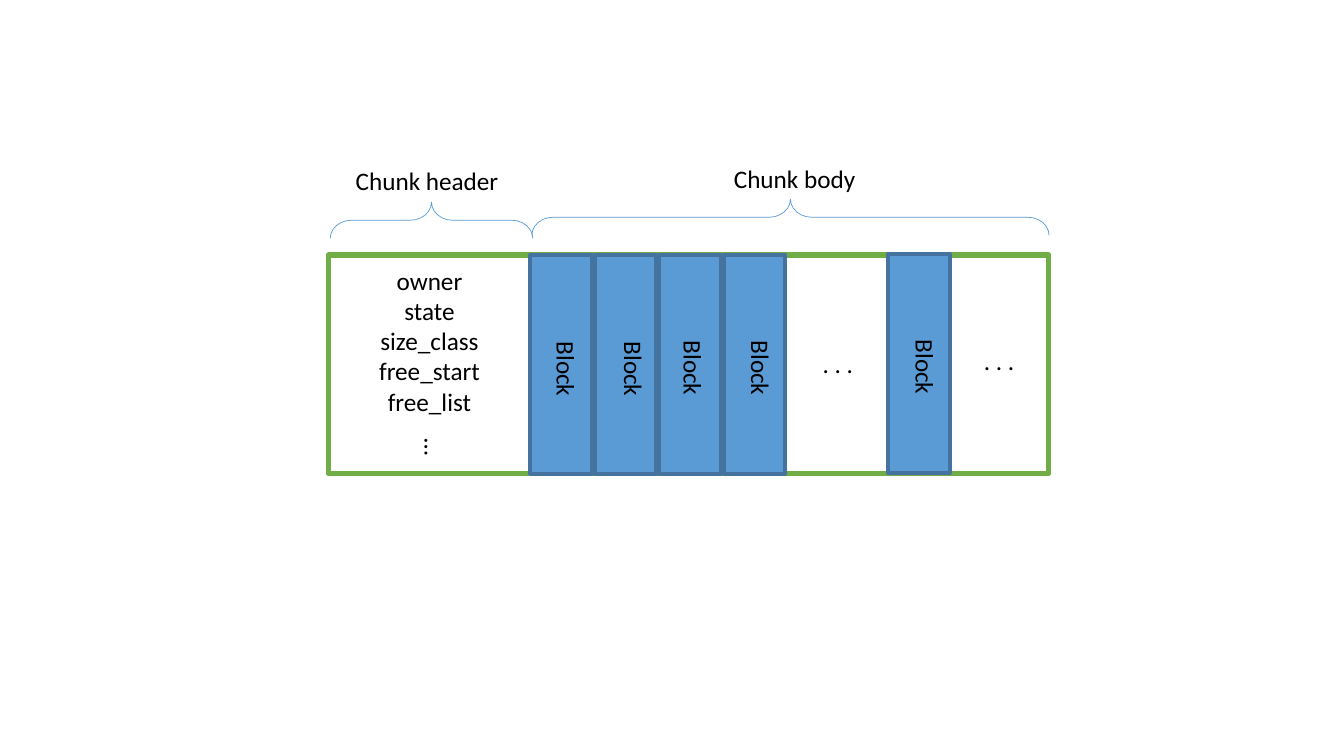
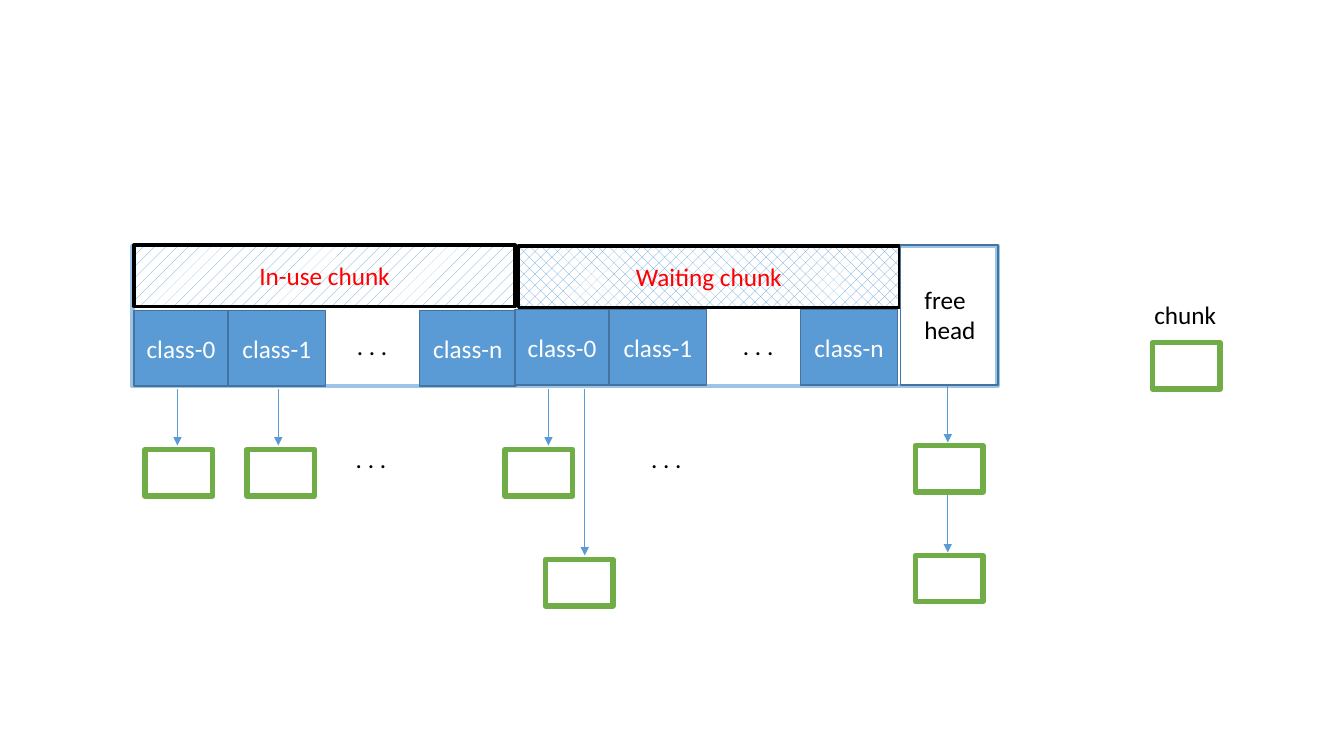
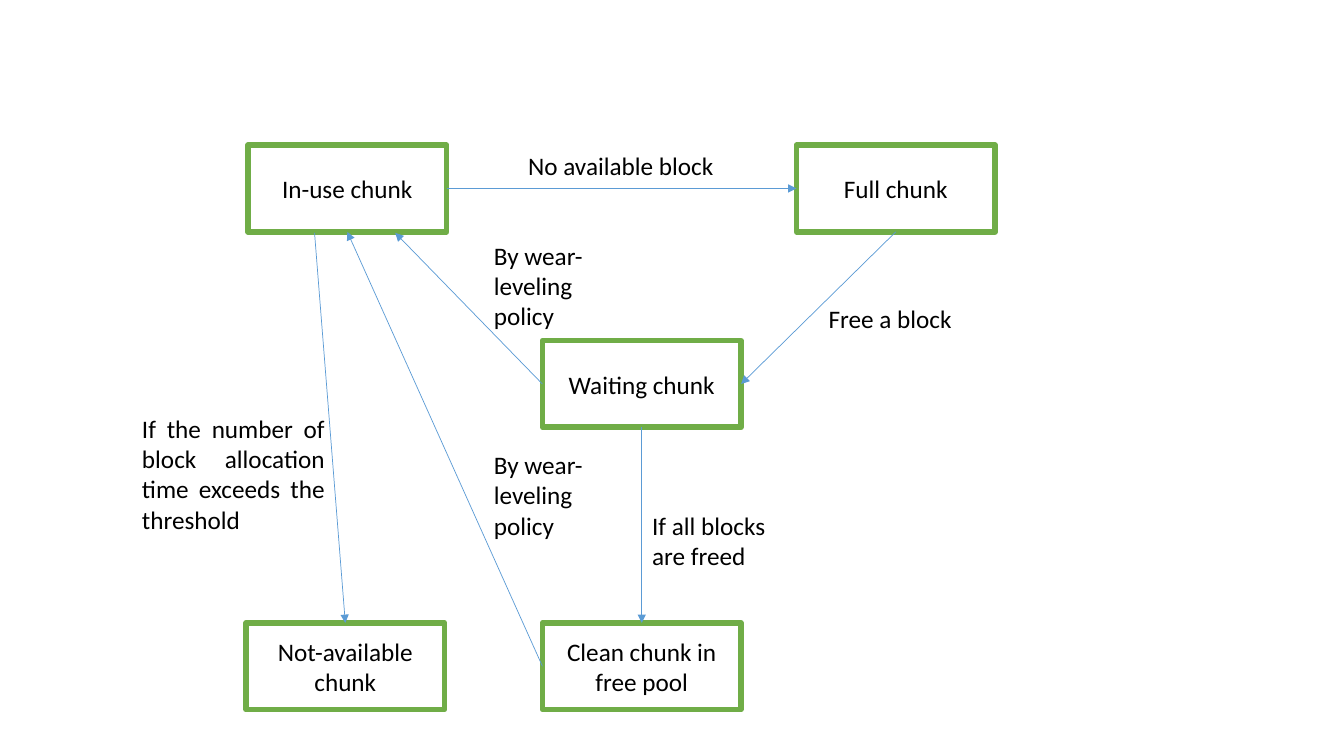
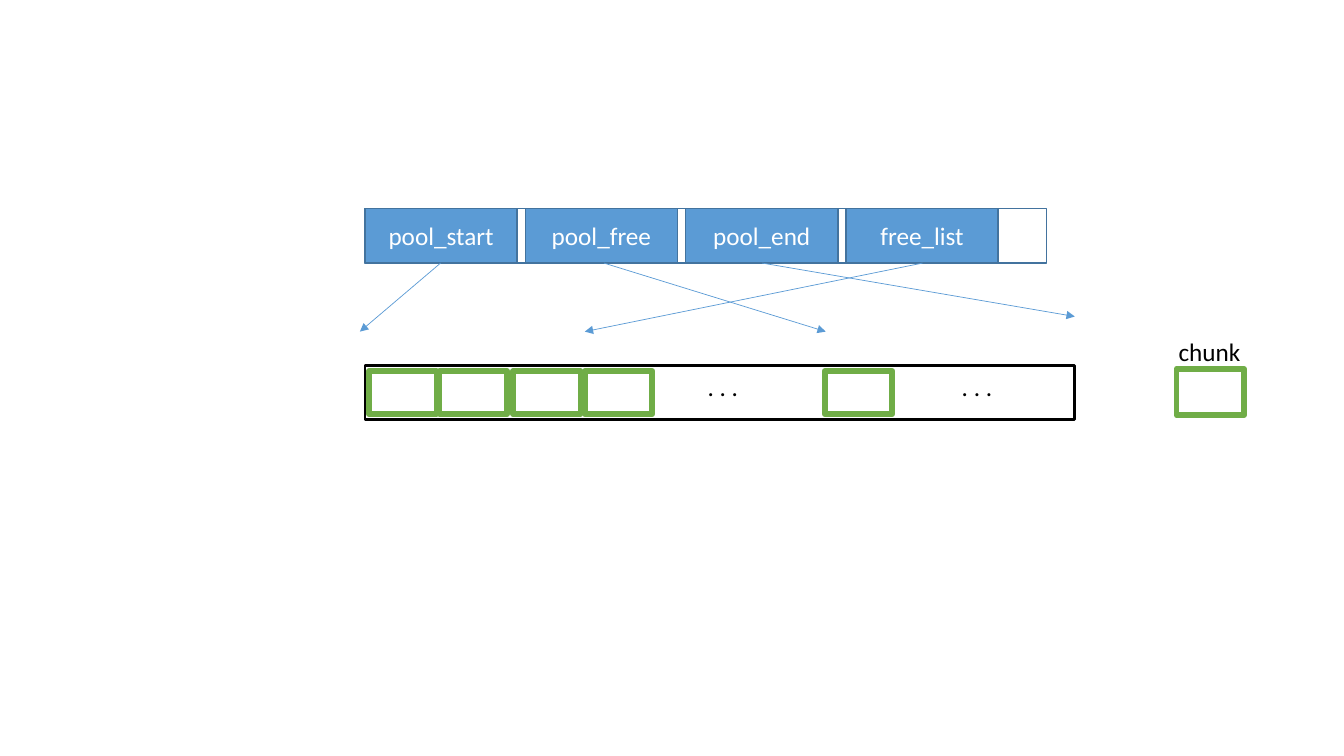
import pptx
import pptx.dml.color
import pptx.enum.dml
import pptx.enum.shapes
import pptx.enum.text
import pptx.oxml
import pptx.oxml.ns
import pptx.util

Inches = pptx.util.Inches
Pt = pptx.util.Pt
color = pptx.dml.color.RGBColor.from_string
SHAPE = pptx.enum.shapes.MSO_SHAPE
ALIGN = pptx.enum.text.PP_ALIGN
PATTERN = pptx.enum.dml.MSO_PATTERN

FONT = "Calibri"
BLACK, WHITE, RED = "000000", "FFFFFF", "FF0000"
BLUE, DARK_BLUE, LIGHT_BLUE, GREEN = "5B9BD5", "43739E", "9DC3E6", "70AD47"

CHUNK = {"line": GREEN, "weight": 4}
FIELD = {"fill": BLUE, "line": DARK_BLUE, "weight": 1, "text_color": WHITE}
BLOCK = {"fill": BLUE, "line": DARK_BLUE, "weight": 2.75}
LABEL = {"align": ALIGN.LEFT, "wrap": False}
NOTE = {"align": ALIGN.LEFT}
VERTICAL = {"align": ALIGN.LEFT, "wrap": False, "vertical": True}


def add_box(slide, left, top, width, height, text="", fill=None, line=None, weight=1,
            text_color=BLACK, align=ALIGN.CENTER, wrap=True, vertical=False,
            pattern=None, kind=SHAPE.RECTANGLE):
    bounds = [Inches(value) for value in (left, top, width, height)]
    if line:
        shape = slide.shapes.add_shape(kind, *bounds)
        shape.shadow.inherit = False
        shape.line.color.rgb = color(line)
        shape.line.width = Pt(weight)
        shape.text_frame.vertical_anchor = pptx.enum.text.MSO_ANCHOR.MIDDLE
        if pattern:
            shape.fill.patterned()
            shape.fill.pattern = pattern
            shape.fill.fore_color.rgb = color(BLUE)
            shape.fill.back_color.rgb = color(WHITE)
        elif fill:
            shape.fill.solid()
            shape.fill.fore_color.rgb = color(fill)
        else:
            shape.fill.background()
    else:
        shape = slide.shapes.add_textbox(*bounds)
        shape.text_frame.auto_size = pptx.enum.text.MSO_AUTO_SIZE.SHAPE_TO_FIT_TEXT
    if text:
        shape.text_frame.word_wrap = wrap
        shape.text_frame.text = text
        paragraph = shape.text_frame.paragraphs[0]
        paragraph.alignment = align
        font = paragraph.runs[0].font
        font.name, font.size = FONT, Pt(18)
        font.color.rgb = color(text_color)
    if vertical:
        shape.element.txBody.bodyPr.set("vert", "eaVert")
    return shape


def add_line(slide, start_x, start_y, end_x, end_y, line=BLUE, weight=0.5, arrow=True):
    connector = slide.shapes.add_connector(
        pptx.enum.shapes.MSO_CONNECTOR.STRAIGHT,
        Inches(start_x), Inches(start_y), Inches(end_x), Inches(end_y))
    connector.line.color.rgb = color(line)
    connector.line.width = Pt(weight)
    if arrow:
        tail = pptx.oxml.parse_xml(
            f'<a:tailEnd {pptx.oxml.ns.nsdecls("a")} type="triangle"/>')
        connector.line._get_or_add_ln().append(tail)
    connector.element.spPr.append(
        pptx.oxml.parse_xml(f'<a:effectLst {pptx.oxml.ns.nsdecls("a")}/>'))
    return connector


presentation = pptx.Presentation()
presentation.slide_width = Inches(13.33)
presentation.slide_height = Inches(7.5)
layout_slide, classes_slide, states_slide, pool_slide = [
    presentation.slides.add_slide(presentation.slide_layouts[6]) for _ in range(4)]

add_box(layout_slide, 3.26, 2.53, 7.14, 2.17, **CHUNK)
add_line(layout_slide, 5.26, 2.53, 5.26, 4.7, line=BLACK, weight=1.5, arrow=False)
add_box(layout_slide, 3.43, 1.59, 1.64, 0.4, "Chunk header", **LABEL)
add_box(layout_slide, 7.18, 1.57, 1.42, 0.4, "Chunk body", **LABEL)
for left, top, text_left, text_top in [
        (5.26, 2.53, 5.32, 3.29), (5.9, 2.53, 5.99, 3.29), (6.54, 2.53, 6.58, 3.28),
        (7.18, 2.53, 7.25, 3.28), (8.81, 2.52, 8.88, 3.27)]:
    add_box(layout_slide, left, top, 0.61, 2.17, **BLOCK)
    add_box(layout_slide, text_left, text_top, 0.5, 0.65, "Block", **VERTICAL)
for index, name in enumerate(["owner", "state", "size_class", "free_start", "free_list"]):
    add_box(layout_slide, 3.26, 2.58 + 0.3 * index, 2, 0.4, name)
add_box(layout_slide, 4.01, 4.25, 0.5, 0.27, "…", **VERTICAL)
for left, top in [(8.06, 3.41), (9.66, 3.38)]:
    add_box(layout_slide, left, top, 0.51, 0.4, ". . .", **LABEL)
for left, top, length in [(4.1, 1.18, 2.01), (7.66, -0.41, 5.13)]:
    brace = add_box(layout_slide, left, top, 0.36, length, line=BLUE, weight=0.5,
                    kind=SHAPE.RIGHT_BRACE)
    brace.rotation = 270
    brace.adjustments[0] = 0.585

add_box(classes_slide, 1.31, 2.44, 8.58, 1.39, line=LIGHT_BLUE, weight=3.5)
for left, top, text, pattern in [
        (1.33, 2.43, "In-use chunk", PATTERN.PERCENT_10),
        (5.14, 2.44, "Waiting chunk", PATTERN.PERCENT_25)]:
    add_box(classes_slide, left, top, 3.78, 0.61, text, line=BLACK, weight=2.5,
            text_color=RED, pattern=pattern)
for group_left, top in [(1.33, 3.08), (5.11, 3.07)]:
    for offset, width, name in [(0, 0.93, "class-0"), (0.93, 0.97, "class-1"),
                                (2.83, 0.96, "class-n")]:
        add_box(classes_slide, group_left + offset, top, width, 0.75, name, **FIELD)
add_box(classes_slide, 8.93, 2.43, 0.97, 1.39, line=DARK_BLUE)
add_box(classes_slide, 9.07, 2.77, 0.88, 0.71, "free head", **NOTE)
for left, top in [(3.44, 3.23), (7.27, 3.23), (3.43, 4.35), (6.36, 4.35)]:
    add_box(classes_slide, left, top, 0.51, 0.4, ". . .", **LABEL)
for left, top in [(1.44, 4.46), (2.45, 4.46), (5.01, 4.46), (5.41, 5.55),
                  (9.08, 4.42), (9.08, 5.51), (11.43, 3.4)]:
    add_box(classes_slide, left, top, 0.67, 0.46, **CHUNK)
add_box(classes_slide, 11.35, 2.92, 0.82, 0.4, "chunk", **LABEL)
for x, start_y, end_y in [(1.76, 3.86, 4.42), (2.76, 3.86, 4.42), (5.44, 3.86, 4.42),
                          (5.8, 3.86, 5.51), (9.4, 3.83, 4.39), (9.4, 4.91, 5.48)]:
    add_line(classes_slide, x, start_y, x, end_y)

in_use, full, waiting, clean, not_available = [
    add_box(states_slide, left, top, 1.97, 0.86, text, **CHUNK)
    for left, top, text in [
        (2.46, 1.44, "In-use chunk"), (7.9, 1.44, "Full chunk"),
        (5.38, 3.38, "Waiting chunk"), (5.38, 6.18, "Clean chunk in free pool"),
        (2.44, 6.18, "Not-available chunk")]]
waiting.fill.solid()
waiting.fill.fore_color.rgb = color(WHITE)
TOP, LEFT, BOTTOM, RIGHT = range(4)
for start, start_side, end, end_side, points in [
        (in_use, RIGHT, full, LEFT, (4.44, 1.88, 7.9, 1.88)),
        (full, BOTTOM, waiting, RIGHT, (8.89, 2.31, 7.35, 3.81)),
        (waiting, BOTTOM, clean, TOP, (6.37, 4.24, 6.37, 6.18)),
        (clean, LEFT, in_use, BOTTOM, (5.38, 6.61, 3.45, 2.31))]:
    connector = add_line(states_slide, *points)
    connector.begin_connect(start, start_side)
    connector.end_connect(end, end_side)
add_line(states_slide, 5.38, 3.81, 3.92, 2.31).begin_connect(waiting, LEFT)
add_line(states_slide, 3.12, 2.31, 3.43, 6.18).end_connect(not_available, TOP)
add_box(states_slide, 5.14, 1.44, 2.06, 0.4, "No available block", **LABEL)
add_box(states_slide, 8.12, 2.96, 1.44, 0.4, "Free a block", **LABEL)
add_box(states_slide, 6.37, 5.01, 1.34, 0.71, "If all blocks are freed", **NOTE)
for top in (2.33, 4.41):
    add_box(states_slide, 4.8, top, 1.2, 1.01, "By wear-leveling policy", **NOTE)
add_box(states_slide, 1.31, 4.05, 2.01, 1.31,
        "If the number of block allocation time exceeds the threshold",
        align=ALIGN.JUSTIFY)

add_box(pool_slide, 3.62, 3.63, 7.04, 0.53, line=BLACK, weight=2)
for left in (6.92, 9.44):
    add_box(pool_slide, left, 3.63, 0.51, 0.4, ". . .", **LABEL)
add_box(pool_slide, 3.62, 2.07, 6.76, 0.54, line=DARK_BLUE)
for index, name in enumerate(["pool_start", "pool_free", "pool_end", "free_list"]):
    add_box(pool_slide, 3.62 + 1.59 * index, 2.07, 1.51, 0.54, name, **FIELD)
for left in (3.66, 4.36, 5.09, 5.8, 8.18):
    add_box(pool_slide, left, 3.68, 0.67, 0.43, **CHUNK)
add_box(pool_slide, 11.67, 3.66, 0.67, 0.46, **CHUNK)
add_box(pool_slide, 11.59, 3.29, 0.82, 0.4, "chunk", **LABEL)
for start_x, end_x, end_y in [(4.37, 3.57, 3.29), (5.99, 8.19, 3.29),
                              (7.56, 10.66, 3.14), (9.15, 5.8, 3.29)]:
    add_line(pool_slide, start_x, 2.61, end_x, end_y)

presentation.save("out.pptx")
